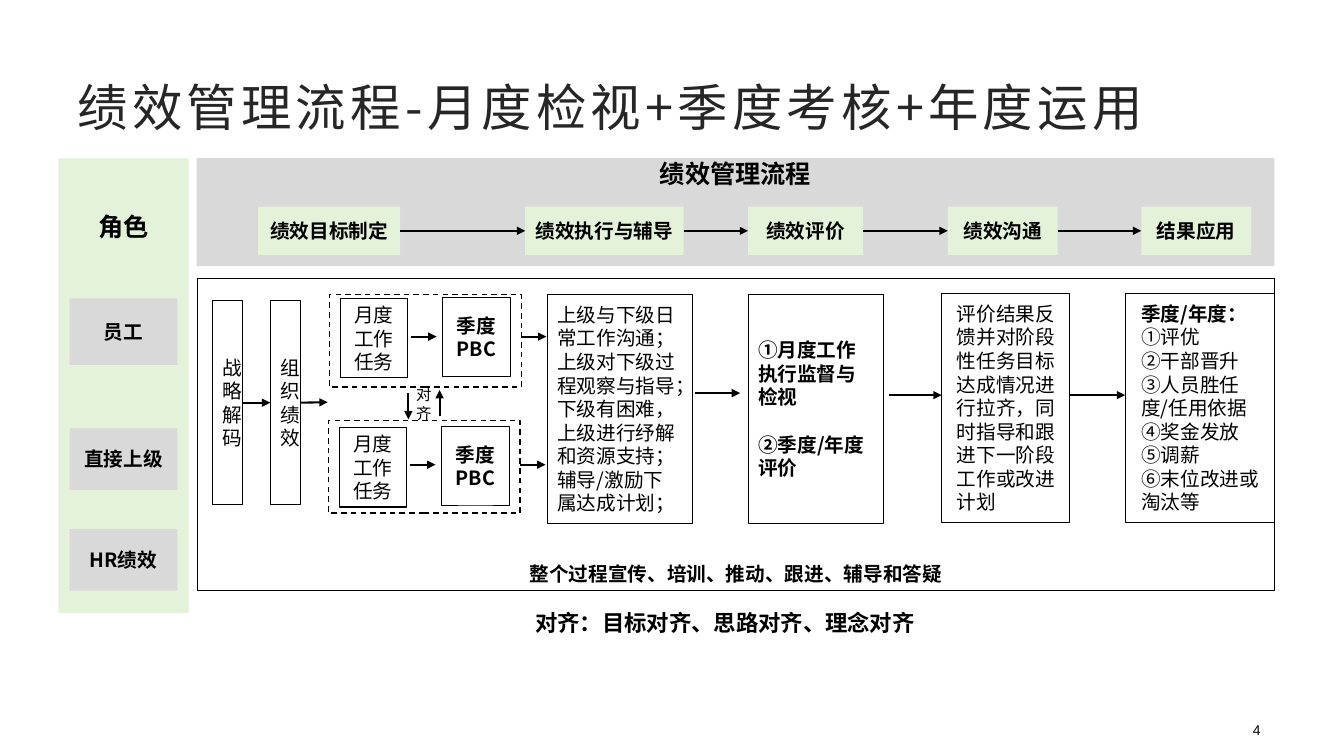
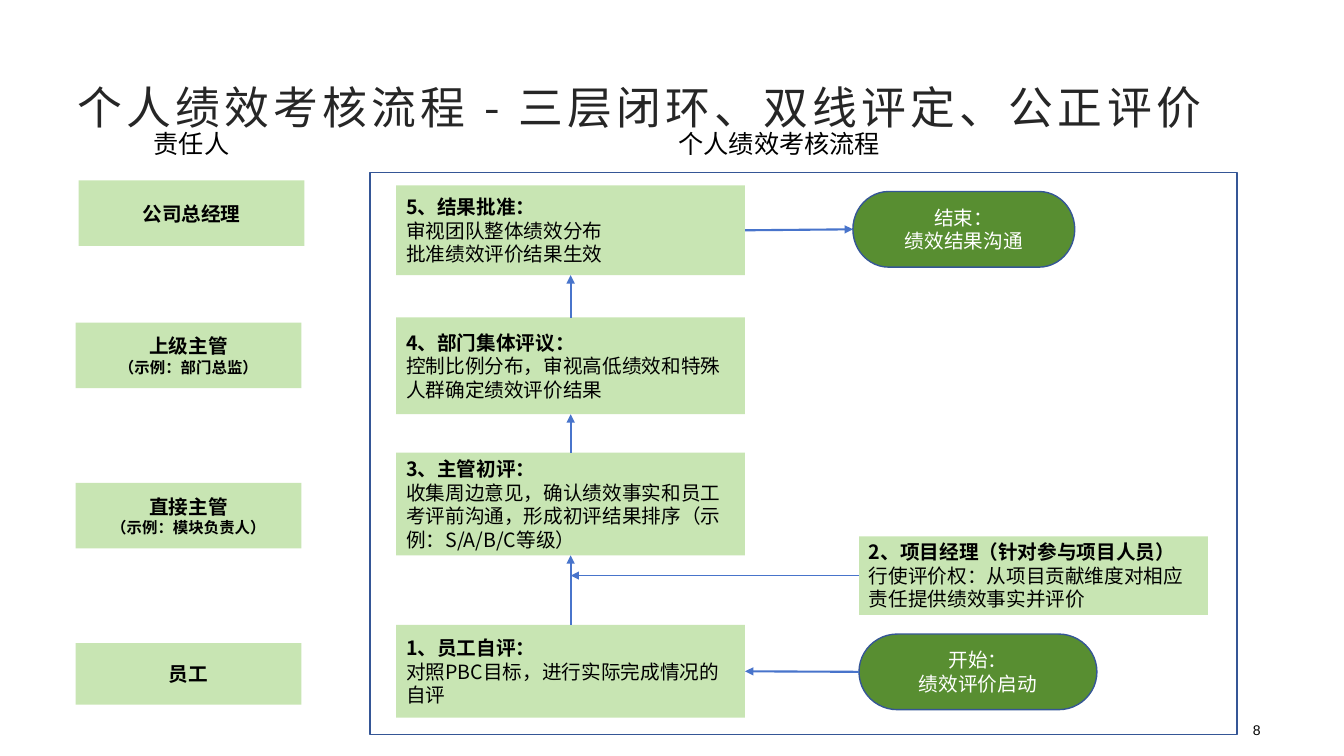
from lxml import etree
from pptx import Presentation, util as u
from pptx.dml.color import RGBColor
from pptx.enum import dml, shapes, text
from pptx.oxml.ns import qn

In = u.Inches
FONT, TITLE_FONT = "Noto Sans CJK SC", "Noto Sans CJK JP"
C = {"black": "000000", "white": "FFFFFF", "title": "262626", "grey": "D9D9D9",
     "pale": "E3F2D9", "green": "C8E5B3", "dark": "588E31", "navy": "355696",
     "blue": "4874CB"}
ALIGN = {"l": text.PP_ALIGN.LEFT, "c": text.PP_ALIGN.CENTER, "r": text.PP_ALIGN.RIGHT}
ANCHOR = {"t": text.MSO_ANCHOR.TOP, "m": text.MSO_ANCHOR.MIDDLE, "b": text.MSO_ANCHOR.BOTTOM}
RECT = shapes.MSO_SHAPE.RECTANGLE
TERMINATOR = shapes.MSO_SHAPE.FLOWCHART_TERMINATOR


def box(s, at, paras=(), fill=None, line=None, width=0.75, dash=False, kind=RECT,
        size=14, bold=False, color="black", al="c", anchor="m", font=FONT,
        left=0.1, top=0.05):
    at = [In(v) for v in at]
    if kind is None:
        sp = s.shapes.add_textbox(*at)
    else:
        sp = s.shapes.add_shape(kind, *at)
        sp.shadow.inherit = False
        if fill:
            sp.fill.solid()
            sp.fill.fore_color.rgb = RGBColor.from_string(C[fill])
        else:
            sp.fill.background()
        if line:
            sp.line.color.rgb = RGBColor.from_string(C[line])
            sp.line.width = u.Pt(width)
            if dash:
                sp.line.dash_style = dml.MSO_LINE.DASH
        else:
            sp.line.fill.background()
    tf = sp.text_frame
    tf.word_wrap = True
    tf.vertical_anchor = ANCHOR[anchor]
    tf.margin_left, tf.margin_top = In(left), In(top)
    for i, item in enumerate(paras):
        words, opts = item if isinstance(item, tuple) else (item, {})
        p = tf.add_paragraph() if i else tf.paragraphs[0]
        p.text = words
        p.alignment = ALIGN[al]
        pt = opts.get("size", size)
        p.line_spacing = u.Pt(pt * 1.2)
        if "before" in opts:
            p.space_before = u.Pt(opts["before"])
        p.font.size = u.Pt(pt)
        p.font.bold = opts.get("bold", bold)
        p.font.color.rgb = RGBColor.from_string(C[color])
        p.font.name = font
        etree.SubElement(p._p.pPr.find(qn("a:defRPr")), qn("a:ea"), typeface=font)
    return sp


def arrow(s, start, end, color="black", width=1.5, begin=None, finish=None):
    cn = s.shapes.add_connector(shapes.MSO_CONNECTOR.STRAIGHT, *[In(v) for v in (*start, *end)])
    if begin:
        cn.begin_connect(*begin)
    if finish:
        cn.end_connect(*finish)
    cn.line.color.rgb = RGBColor.from_string(C[color])
    cn.line.width = u.Pt(width)
    etree.SubElement(cn.line._get_or_add_ln(), qn("a:tailEnd"), type="triangle")
    etree.SubElement(cn._element.spPr, qn("a:effectLst"))


prs = Presentation()
prs.slide_width, prs.slide_height = In(13.33), In(7.5)
slides = []
for title, size, number in [("绩效管理流程-月度检视+季度考核+年度运用", 36, "4"),
                            ("个人绩效考核流程 - 三层闭环、双线评定、公正评价", 32, "8")]:
    s = prs.slides.add_slide(prs.slide_layouts[5])
    sp = s.shapes.title
    sp.left, sp.top, sp.width, sp.height = In(0.67), In(0.67), In(12), In(0.77)
    tf = sp.text_frame
    tf.text = title
    tf.auto_size = text.MSO_AUTO_SIZE.NONE
    tf.vertical_anchor = ANCHOR["m"]
    p = tf.paragraphs[0]
    p.alignment = ALIGN["l"]
    p.font.size = u.Pt(size)
    p.font.color.rgb = RGBColor.from_string(C["title"])
    p.font.name = TITLE_FONT
    rpr = p._p.pPr.find(qn("a:defRPr"))
    rpr.set("spc", "300")
    etree.SubElement(rpr, qn("a:ea"), typeface=TITLE_FONT)
    box(s, (9.42, 7.11, 3.18, 0.23), [number], kind=None, size=10, al="r", anchor="t", font="Arial")
    slides.append(s)

s = slides[0]
box(s, (1.96, 2.76, 10.68, 3.1), ["整个过程宣传、培训、推动、跟进、辅导和答疑"],
    line="black", bold=True, anchor="b")
box(s, (1.95, 1.57, 10.69, 1.07), ["绩效管理流程"], fill="grey", size=18, bold=True,
    anchor="t", top=0)
previous = None
for x, w, name in [(2.56, 1.41, "绩效目标制定"), (5.21, 1.57, "绩效执行与辅导"),
                   (7.42, 1.14, "绩效评价"), (9.4, 1.09, "绩效沟通"),
                   (11.32, 1.09, "结果应用")]:
    stage = box(s, (x, 2.05, w, 0.48), [name], fill="pale", bold=True)
    if previous:
        arrow(s, (x, 2.29), (x, 2.29), begin=(previous, 3), finish=(stage, 1))
    previous = stage

box(s, (0.58, 1.57, 1.29, 4.51), ["角色"], fill="pale", size=18, bold=True, anchor="t", top=0.53)
for y, h, role in [(2.96, 0.66, "员工"), (4.25, 0.61, "直接上级"), (5.25, 0.61, "HR绩效")]:
    box(s, (0.69, y, 1.07, h), [role], fill="grey", bold=True)

strategy, organisation = [
    box(s, (x, 2.98, 0.3, 2.03), [name], line="black", al="l")
    for x, name in [(2.11, "战略解码"), (2.68, "组织绩效")]]
arrow(s, (2.41, 3.99), (2.68, 3.99), begin=(strategy, 3), finish=(organisation, 1))
arrow(s, (2.98, 3.99), (3.25, 3.99), begin=(organisation, 3))

for x, frame_y, task_y, arrow_y in [(3.27, 2.92, 2.96, 3.34), (3.26, 4.17, 4.24, 4.61)]:
    box(s, (x, frame_y, 1.9, 0.92), line="black", width=1, dash=True)
    box(s, (x + 0.11, task_y, 0.66, 0.79), ["月度工作任务"], line="black")
    box(s, (x + 1.12, task_y - 0.01, 0.67, 0.79), ["季度PBC"], line="black", bold=True)
    arrow(s, (x + 0.81, arrow_y), (x + 1.06, arrow_y))
    arrow(s, (x + 1.9, arrow_y), (x + 2.15, arrow_y))
arrow(s, (4.05, 3.9), (4.05, 4.16))
arrow(s, (4.36, 4.13), (4.36, 3.87))
box(s, (4.03, 3.95, 0.35, 0.11), ["对齐"], kind=None, size=11)

for x, y, w, left, bold, paras in [
    (5.43, 2.92, 1.44, 0.1, False,
     ["上级与下级日常工作沟通；", "上级对下级过程观察与指导；",
      "下级有困难，上级进行纾解和资源支持；", "辅导/激励下属达成计划；"]),
    (7.42, 2.92, 1.34, 0.1, True,
     ["①月度工作执行监督与检视", ("②季度/年度评价", {"before": 17})]),
    (9.34, 2.91, 1.27, 0.15, False,
     ["评价结果反馈并对阶段性任务目标达成情况进行拉齐，同时指导和跟进下一阶段工作或改进计划"]),
    (11.16, 2.91, 1.48, 0.16, False,
     [("季度/年度：", {"bold": True}), "①评优", "②干部晋升", "③人员胜任度/任用依据",
      "④奖金发放", "⑤调薪", "⑥末位改进或淘汰等"]),
]:
    box(s, (x, y, w, 2.27), paras, line="black", bold=bold, al="l", left=left)
for x1, x2, y in [(6.89, 7.34, 3.9), (8.82, 9.34, 3.92), (10.61, 11.16, 3.92)]:
    arrow(s, (x1, y), (x2, y))
box(s, (5.21, 5.95, 7.63, 0.46), ["对齐：目标对齐、思路对齐、理念对齐"], kind=None,
    size=16, bold=True, al="l")

s = slides[1]
box(s, (3.67, 1.71, 8.6, 5.58), line="navy", width=1)
for x, w, heading in [(1.3, 1.2, "责任人"), (6.48, 2.5, "个人绩效考核流程")]:
    box(s, (x, 1.22, w, 0.4), [heading], kind=None, size=18, anchor="t")
for x, y, h, role, example in [(0.78, 1.79, 0.65, "公司总经理", None),
                               (0.75, 3.2, 0.65, "上级主管", "（示例：部门总监）"),
                               (0.75, 4.79, 0.65, "直接主管", "（示例：模块负责人）"),
                               (0.75, 6.38, 0.61, "员工", None)]:
    paras = [role, (example, {"size": 11})] if example else [role]
    box(s, (x, y, 2.24, h), paras, fill="green", bold=True)

steps = []
for x, y, h, name, *details in [
    (3.93, 6.2, 0.92, "1、员工自评：", "对照PBC目标，进行实际完成情况的自评"),
    (3.93, 4.49, 1.02, "3、主管初评：",
     "收集周边意见，确认绩效事实和员工考评前沟通，形成初评结果排序（示例：S/A/B/C等级）"),
    (3.93, 3.15, 0.96, "4、部门集体评议：", "控制比例分布，审视高低绩效和特殊人群确定绩效评价结果"),
    (3.93, 1.84, 0.89, "5、结果批准：", "审视团队整体绩效分布", "批准绩效评价结果生效"),
    (8.52, 5.32, 0.78, "2、项目经理（针对参与项目人员）",
     "行使评价权：从项目贡献维度对相应责任提供绩效事实并评价"),
]:
    steps.append(box(s, (x, y, 3.46, h), [(name, {"bold": True}), *details], fill="green", al="l"))
*chain, manager = steps
start, end = [
    box(s, at, paras, fill="dark", line="navy", width=1, kind=TERMINATOR, color="white")
    for at, paras in [((8.52, 6.29, 2.36, 0.75), ["开始：", "绩效评价启动"]),
                      ((8.46, 1.9, 2.2, 0.75), ["结束：", "绩效结果沟通"])]]
for lower, upper in zip(chain, chain[1:]):
    arrow(s, (5.66, 6.2), (5.66, 5.51), "blue", begin=(lower, 0), finish=(upper, 2))
arrow(s, (8.52, 6.66), (7.39, 6.66), "blue", begin=(start, 1), finish=(chain[0], 3))
arrow(s, (7.39, 2.29), (8.46, 2.28), "blue", begin=(chain[-1], 3), finish=(end, 1))
arrow(s, (8.52, 5.71), (5.66, 5.71), "blue", 1, begin=(manager, 1))

prs.save("out.pptx")
